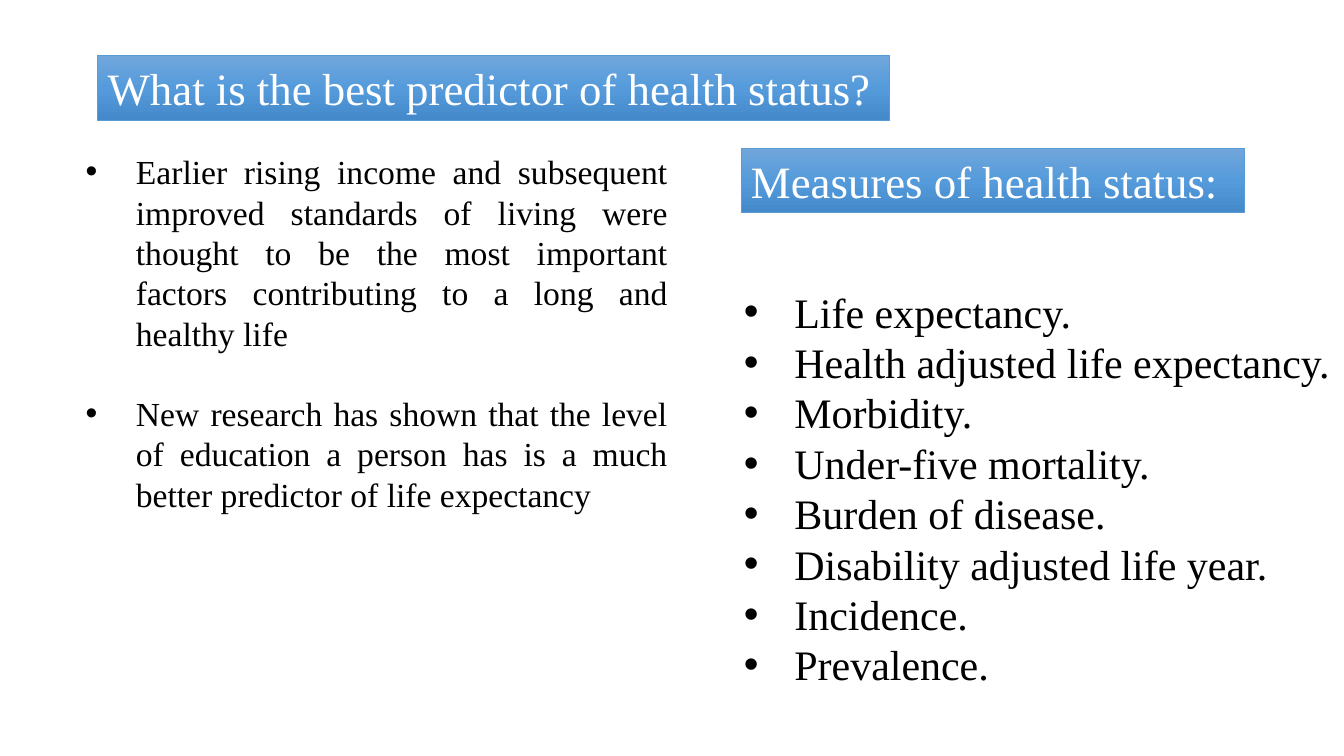
from copy import deepcopy

from lxml import etree
from pptx import Presentation
from pptx.dml.color import RGBColor
from pptx.enum import shapes, text
from pptx.oxml.ns import qn
from pptx.util import Inches, Pt

COLORS = {
    "text": "000000",
    "heading": "FFFFFF",
    "outline": "5B9BD5",
    "top": "71A6DB",
    "middle": "559BDB",
    "bottom": "448ACA",
}
FONT = "Times New Roman"
LINE_PITCH = 1.2

FINDINGS = [
    "Earlier rising income and subsequent improved standards of living were "
    "thought to be the most important factors contributing to a long and healthy life",
    "New research has shown that the level of education a person has is a much "
    "better predictor of life expectancy",
]
MEASURES = [
    "Life expectancy.",
    "Health adjusted life expectancy.",
    "Morbidity.",
    "Under-five mortality.",
    "Burden of disease.",
    "Disability adjusted life year.",
    "Incidence.",
    "Prevalence.",
]


class HealthSlide:
    def __init__(self, slide):
        self.slide = slide

    def color(self, name):
        return RGBColor.from_string(COLORS[name])

    def style_runs(self, paragraph, size, color):
        for run in paragraph.runs:
            run.font.name = FONT
            run.font.size = Pt(size)
            run.font.color.rgb = self.color(color)

    def heading(self, words, left, top, width):
        bar = self.slide.shapes.add_shape(
            shapes.MSO_SHAPE.RECTANGLE,
            Inches(left), Inches(top), Inches(width), Inches(0.64))
        bar.shadow.inherit = False
        self.fill_gradient(bar)
        bar.line.color.rgb = self.color("outline")
        bar.line.width = Pt(0.5)
        frame = bar.text_frame
        frame.text = words
        frame.word_wrap = True
        frame.vertical_anchor = text.MSO_ANCHOR.MIDDLE
        frame.paragraphs[0].alignment = text.PP_ALIGN.LEFT
        self.style_runs(frame.paragraphs[0], 32, "heading")

    def fill_gradient(self, bar):
        """Fill from top to bottom through three evenly spaced colours."""
        bar.fill.gradient()
        bar.fill.gradient_angle = 270
        stop_list = next(bar.element.spPr.iter(qn("a:gsLst")))
        stop_list.insert(1, deepcopy(stop_list[0]))
        stops = bar.fill.gradient_stops
        for index, name in enumerate(("top", "middle", "bottom")):
            stops[index].position = index / 2
            stops[index].color.rgb = self.color(name)

    def bullets(self, items, left, top, width, height, size, align, gap=0):
        box = self.slide.shapes.add_textbox(
            Inches(left), Inches(top), Inches(width), Inches(height))
        frame = box.text_frame
        frame.word_wrap = True
        frame.text = "\n".join(items)
        for index, paragraph in enumerate(frame.paragraphs):
            self.add_bullet(paragraph)
            paragraph.alignment = align
            paragraph.line_spacing = Pt(size * LINE_PITCH)
            if index and gap:
                paragraph.space_before = Pt(gap)
            self.style_runs(paragraph, size, "text")

    def add_bullet(self, paragraph):
        properties = paragraph._p.get_or_add_pPr()
        properties.set("marL", str(Inches(0.5)))
        properties.set("indent", str(-Inches(0.5)))
        etree.SubElement(properties, qn("a:buFont")).set("typeface", "Arial")
        etree.SubElement(properties, qn("a:buChar")).set("char", "•")


def main():
    deck = Presentation()
    deck.slide_width, deck.slide_height = Inches(13.33), Inches(7.5)
    page = HealthSlide(deck.slides.add_slide(deck.slide_layouts[6]))

    page.bullets(FINDINGS, 0.75, 1.45, 5.97, 5.08, 24,
                 text.PP_ALIGN.JUSTIFY, gap=24 * LINE_PITCH)
    page.heading("What is the best predictor of health status?", 0.97, 0.55, 7.85)
    page.heading("Measures of health status:", 7.35, 1.47, 4.99)
    page.bullets(MEASURES, 7.28, 2.79, 6.62, 4.15, 30, text.PP_ALIGN.LEFT)

    deck.save("out.pptx")


if __name__ == "__main__":
    main()
